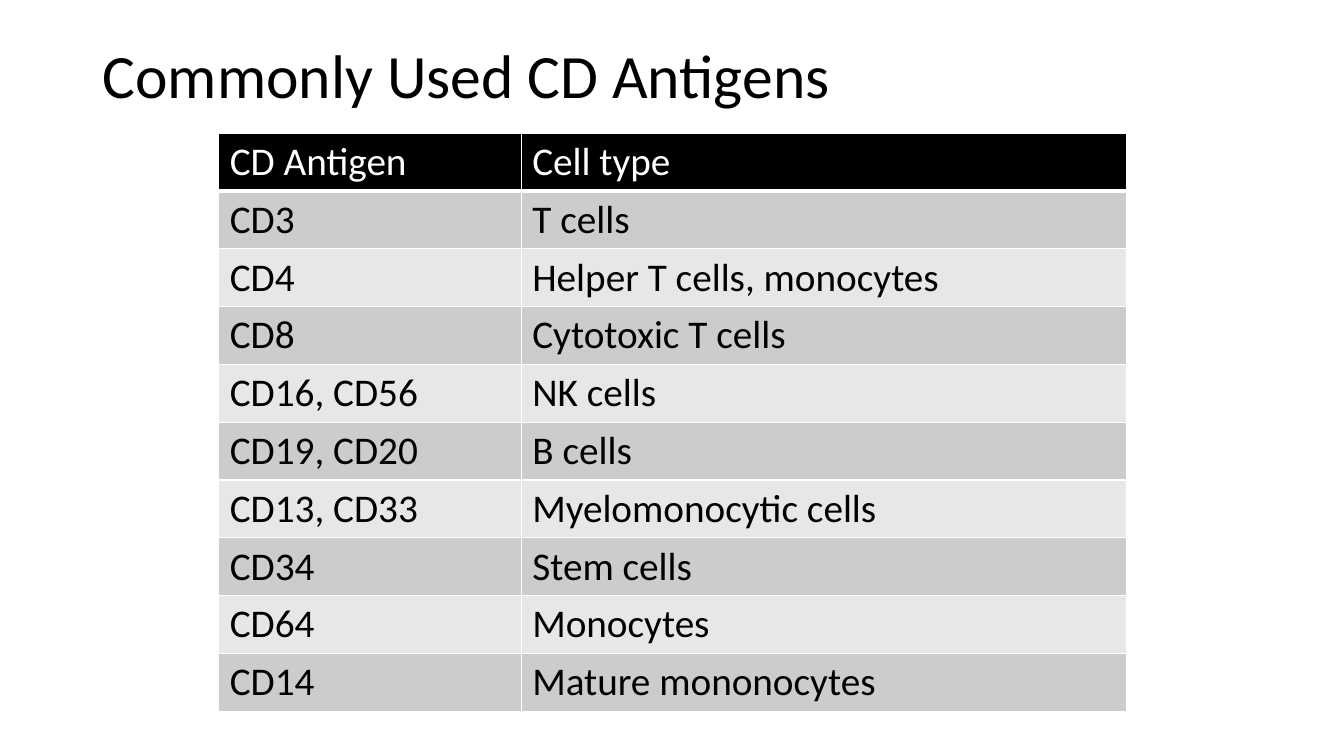
from dataclasses import dataclass

from lxml import etree
from pptx import Presentation, util as u
from pptx.dml.color import RGBColor
from pptx.enum import text
from pptx.oxml import ns


@dataclass(frozen=True)
class Theme:
    font: str = "Calibri"
    ink: str = "000000"
    white: str = "FFFFFF"
    dark: str = "CCCCCC"
    light: str = "E7E7E7"
    title: int = 44
    body: int = 28


theme = Theme()


def write(frame, words, size=theme.body, color=theme.ink, space=1.0):
    para = frame.paragraphs[0]
    para.line_spacing = space
    run = para.add_run()
    run.text = words
    run.font.name = theme.font
    run.font.size = u.Pt(size)
    run.font.bold = False
    run.font.color.rgb = RGBColor.from_string(color)


def edge(cell, side, width):
    props = cell._tc.get_or_add_tcPr()
    line = etree.SubElement(props, ns.qn("a:ln" + side), w=str(u.Pt(width)))
    fill = etree.SubElement(line, ns.qn("a:solidFill"))
    etree.SubElement(fill, ns.qn("a:srgbClr"), val=theme.white)


deck = Presentation()
deck.slide_width = u.Inches(13.33)
deck.slide_height = u.Inches(7.5)
slide = deck.slides.add_slide(deck.slide_layouts[6])

# Title
title = slide.shapes.add_textbox(
    u.Inches(0.92), u.Inches(0.05), u.Inches(11.5), u.Inches(1.45)
).text_frame
title.word_wrap = True
title.vertical_anchor = text.MSO_ANCHOR.MIDDLE
write(title, "Commonly Used CD Antigens", size=theme.title, space=0.9)

# Antigen table
rows = [
    ("CD Antigen", "Cell type"),
    ("CD3", "T cells"),
    ("CD4", "Helper T cells, monocytes"),
    ("CD8", "Cytotoxic T cells"),
    ("CD16, CD56", "NK cells"),
    ("CD19, CD20", "B cells"),
    ("CD13, CD33", "Myelomonocytic cells"),
    ("CD34", "Stem cells"),
    ("CD64", "Monocytes"),
    ("CD14", "Mature mononocytes"),
]
table = slide.shapes.add_table(
    len(rows), 2, u.Inches(2.17), u.Inches(1.32), u.Inches(9), u.Inches(5.74)
).table
table.columns[0].width = u.Inches(3)
table.columns[1].width = u.Inches(6)

for r, row in enumerate(rows):
    table.rows[r].height = u.Inches(0.574)
    head = r == 0
    shade = theme.ink if head else theme.dark if r % 2 else theme.light
    for c, words in enumerate(row):
        cell = table.cell(r, c)
        cell.margin_left = cell.margin_right = u.Inches(0.11)
        cell.margin_top = cell.margin_bottom = u.Inches(0.05)
        for side in "LRTB":
            edge(cell, side, 3 if head and side == "B" else 1)
        cell.fill.solid()
        cell.fill.fore_color.rgb = RGBColor.from_string(shade)
        write(cell.text_frame, words, color=theme.white if head else theme.ink)

deck.save("out.pptx")
